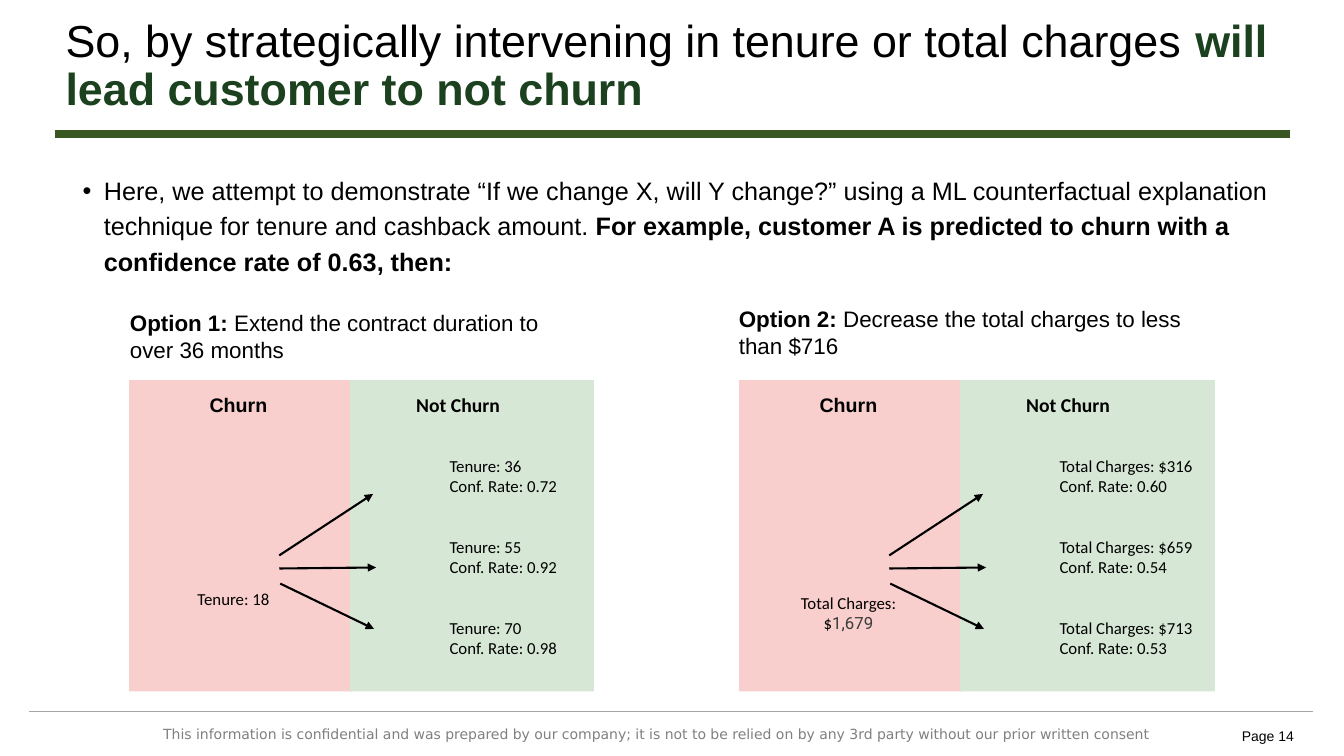
import pptx
import pptx.util
import pptx.dml.color
import pptx.enum.shapes
import pptx.enum.text
import pptx.oxml
import pptx.oxml.ns

Inches = pptx.util.Inches
Pt = pptx.util.Pt
RGBColor = pptx.dml.color.RGBColor
PP_ALIGN = pptx.enum.text.PP_ALIGN

BLACK = RGBColor(0x00, 0x00, 0x00)
TITLE_GREEN = RGBColor(0x1C, 0x41, 0x1F)
RULE_GREEN = RGBColor(0x38, 0x57, 0x23)
RULE_GRAY = RGBColor(0xA5, 0xA5, 0xA5)
FOOTER_GRAY = RGBColor(0x80, 0x80, 0x80)
CHARGE_GRAY = RGBColor(0x3B, 0x3B, 0x3B)
CHURN_RED = RGBColor(0xF8, 0xCF, 0xCC)
STAY_GREEN = RGBColor(0xD6, 0xE8, 0xD5)


def write(shape, box, paragraphs, size, name="Arial", color=BLACK, **paragraph_format):
    shape.left, shape.top, shape.width, shape.height = [Inches(value) for value in box]
    frame = shape.text_frame
    frame.word_wrap = True
    frame.auto_size = pptx.enum.text.MSO_AUTO_SIZE.NONE
    for index, runs in enumerate(paragraphs):
        paragraph = frame.add_paragraph() if index else frame.paragraphs[0]
        for attribute, value in paragraph_format.items():
            setattr(paragraph, attribute, value)
        for text, changes in runs:
            run = paragraph.add_run()
            run.text = text
            values = {"size": Pt(size), "name": name, "bold": False, "color": color} | changes
            run.font.color.rgb = values.pop("color")
            for attribute, value in values.items():
                setattr(run.font, attribute, value)


def draw_line(shapes, start, end, color, width, arrow=False):
    line = shapes.add_connector(
        pptx.enum.shapes.MSO_CONNECTOR.STRAIGHT, *[Inches(value) for value in start + end])
    line.line.color.rgb = color
    line.line.width = Pt(width)
    if arrow:
        tail = pptx.oxml.parse_xml(
            f'<a:tailEnd {pptx.oxml.ns.nsdecls("a")} type="triangle"/>')
        line.line._get_or_add_ln().append(tail)
    line._element.spPr.append(
        pptx.oxml.parse_xml(f'<a:effectLst {pptx.oxml.ns.nsdecls("a")}/>'))


presentation = pptx.Presentation()
presentation.slide_width = Inches(13.33)
presentation.slide_height = Inches(7.5)
slide = presentation.slides.add_slide(presentation.slide_layouts[1])
shapes = slide.shapes

title = shapes.title
write(title, (0.55, 0.21, 12.72, 0.91), [[
    ("So, by strategically intervening in tenure or total charges ", {}),
    ("will lead customer to not churn", {"bold": True, "color": TITLE_GREEN}),
]], 32, alignment=PP_ALIGN.LEFT, line_spacing=0.9)
title.text_frame.vertical_anchor = pptx.enum.text.MSO_ANCHOR.MIDDLE

body = slide.placeholders[1]
for side in ("left", "right", "top", "bottom"):
    setattr(body.text_frame, f"margin_{side}", 0)
bullet_properties = body.text_frame.paragraphs[0]._p.get_or_add_pPr()
bullet_properties.set("marL", str(Inches(0.43)))
bullet_properties.set("indent", str(Inches(-0.21)))
bullet_properties.append(
    pptx.oxml.parse_xml(f'<a:buChar {pptx.oxml.ns.nsdecls("a")} char="•"/>'))
write(body, (0.6, 1.69, 11.98, 1.02), [[
    ("Here, we attempt to demonstrate “If we change X, will Y change?” using a ML "
     "counterfactual explanation technique for tenure and cashback amount.", {}),
    (" For example, customer A is predicted to churn with a confidence rate of 0.63, then:",
     {"bold": True}),
]], 18, line_spacing=Pt(25.2), space_before=Pt(0))

draw_line(shapes, (0.55, 1.33), (12.79, 1.33), RULE_GREEN, 6)
draw_line(shapes, (0.29, 7.06), (13.02, 7.06), RULE_GRAY, 1)
write(shapes.add_textbox(0, 0, 0, 0), (1.52, 7.15, 10.45, 0.27), [[
    ("This information is confidential and was prepared by our company; it is not to be "
     "relied on by any 3rd party without our prior written consent", {}),
]], 10, "DejaVu Sans", FOOTER_GRAY)
write(shapes.add_textbox(0, 0, 0, 0), (12.12, 7.06, 0.91, 0.35), [[("Page 14", {})]],
      10, alignment=PP_ALIGN.CENTER, line_spacing=Pt(19.9))

options = [
    {
        "left": 1.28, "stay_width": 2.42, "heading_box": (1.19, 3.02, 4.72, 0.64),
        "heading": ("Option 1: ", "Extend the contract duration to over 36 months"),
        "start_box": (1.86, 5.79, 1.15, 0.3), "start": [("Tenure: 18", {})],
        "start_alignment": PP_ALIGN.LEFT,
        "outcomes": [("Tenure: 36", "0.72"), ("Tenure: 55", "0.92"), ("Tenure: 70", "0.98")],
    },
    {
        "left": 7.33, "stay_width": 2.53, "heading_box": (7.23, 2.98, 4.79, 0.64),
        "heading": ("Option 2: ", "Decrease the total charges to less than $716"),
        "start_box": (7.82, 5.83, 1.19, 0.5),
        "start": [("Total Charges: $", {}), ("1,679", {"name": "Roboto", "color": CHARGE_GRAY})],
        "start_alignment": PP_ALIGN.CENTER,
        "outcomes": [("Total Charges: $316", "0.60"), ("Total Charges: $659", "0.54"),
                     ("Total Charges: $713", "0.53")],
    },
]
arrows = [((1.49, 5.51), (2.42, 4.9)), ((1.49, 5.64), (2.45, 5.63)), ((1.5, 5.79), (2.43, 6.24))]

for option in options:
    left = option["left"]
    label, action = option["heading"]
    write(shapes.add_textbox(0, 0, 0, 0), option["heading_box"],
          [[(label, {"bold": True}), (action, {})]], 16)

    diagram = shapes.add_group_shape().shapes
    for offset, width, color in ((0, 2.21, CHURN_RED), (2.19, option["stay_width"], STAY_GREEN)):
        panel = diagram.add_shape(
            pptx.enum.shapes.MSO_SHAPE.RECTANGLE,
            Inches(left + offset), Inches(3.77), Inches(width), Inches(3.09))
        panel.shadow.inherit = False
        panel.fill.solid()
        panel.fill.fore_color.rgb = color
        panel.line.fill.background()
    for text, offset, width, name in (("Churn", 0.7, 1.08, "Arial"),
                                      ("Not Churn", 2.75, 1.31, "Calibri")):
        write(diagram.add_textbox(0, 0, 0, 0), (left + offset, 3.85, width, 0.34),
              [[(text, {"bold": True})]], 14, name)
    for (start_x, start_y), (end_x, end_y) in arrows:
        draw_line(diagram, (left + start_x, start_y), (left + end_x, end_y), BLACK, 1.5, True)
    write(diagram.add_textbox(0, 0, 0, 0), option["start_box"], [option["start"]],
          12, "Calibri", alignment=option["start_alignment"])
    for row, (value, rate) in enumerate(option["outcomes"]):
        write(diagram.add_textbox(0, 0, 0, 0), (left + 3.08, 4.47 + row * 0.805, 1.71, 0.5),
              [[(value, {})], [(f"Conf. Rate: {rate}", {})]], 12, "Calibri")

presentation.save("out.pptx")
